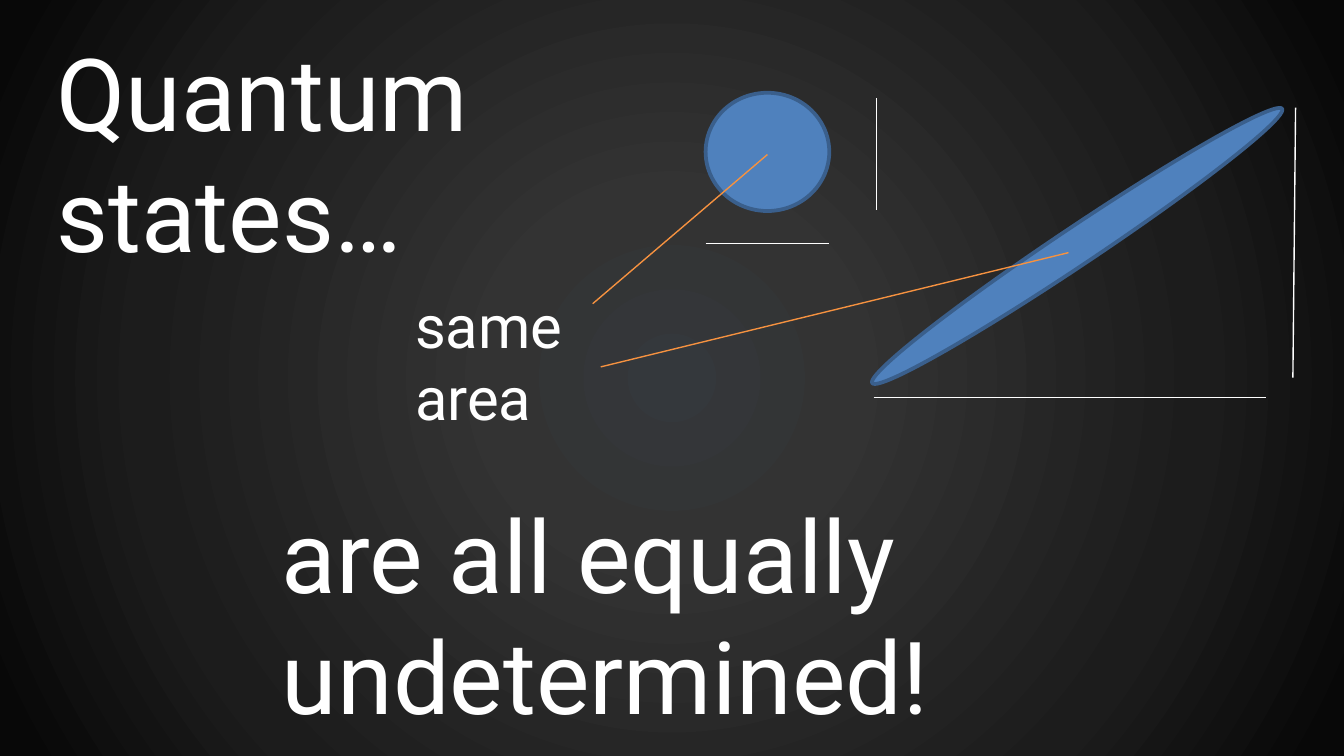
from lxml import etree
from pptx import Presentation
from pptx.dml.color import RGBColor
from pptx.enum.shapes import MSO_CONNECTOR, MSO_SHAPE
from pptx.enum.text import MSO_AUTO_SIZE
from pptx.oxml import parse_xml
from pptx.oxml.ns import nsdecls, qn
from pptx.util import Inches, Pt

RECT, OVAL = MSO_SHAPE.RECTANGLE, MSO_SHAPE.OVAL
STRAIGHT = MSO_CONNECTOR.STRAIGHT
FIT = MSO_AUTO_SIZE.SHAPE_TO_FIT_TEXT

BLACK = RGBColor(0x00, 0x00, 0x00)
WHITE = RGBColor(0xFF, 0xFF, 0xFF)
BLUE = RGBColor(0x4F, 0x81, 0xBD)
NAVY = RGBColor(0x3A, 0x5F, 0x8C)
ORANGE = RGBColor(0xF6, 0x92, 0x40)

WIDTH = 10
HEIGHT = WIDTH * 9 / 16
GLOW = [(0, "34383C"), (23, "333333"), (69, "1C1C1C"), (97, "080808")]


class Deck:
    font = "Roboto"

    def __init__(self, slide):
        self.slide = slide
        self.shapes = slide.shapes

    def ground(self, stops):
        """Fill the slide with a gradient that spreads from its centre."""
        fill = self.slide.background.fill
        fill.solid()
        fill.fore_color.rgb = BLACK
        rect = self.shapes.add_shape(RECT, 0, 0, Inches(WIDTH), Inches(HEIGHT))
        rect.shadow.inherit = False
        rect.line.fill.background()
        rect.fill.background()
        marks = "".join(
            f'<a:gs pos="{pos * 1000}"><a:srgbClr val="{tone}"/></a:gs>'
            for pos, tone in stops)
        grad = parse_xml(
            f'<a:gradFill {nsdecls("a")} rotWithShape="1"><a:gsLst>{marks}</a:gsLst>'
            '<a:path path="circle"><a:fillToRect l="50000" t="50000" r="50000" '
            'b="50000"/></a:path></a:gradFill>')
        props = rect._element.spPr
        props.replace(props.find(qn("a:noFill")), grad)

    def text(self, left, top, width, height, paras, size):
        """Add paragraphs, each given as a list of lines."""
        box = self.shapes.add_textbox(
            Inches(left), Inches(top), Inches(width), Inches(height))
        frame = box.text_frame
        frame.word_wrap = False
        frame.auto_size = FIT
        for i, lines in enumerate(paras):
            para = frame.add_paragraph() if i else frame.paragraphs[0]
            for j, line in enumerate(lines):
                if j:
                    para.add_line_break()
                run = para.add_run()
                run.text = line
                run.font.name = self.font
                run.font.size = Pt(size)
                run.font.color.rgb = WHITE

    def oval(self, left, top, width, height, turn=0):
        oval = self.shapes.add_shape(
            OVAL, Inches(left), Inches(top), Inches(width), Inches(height))
        oval.shadow.inherit = False
        oval.rotation = turn
        oval.fill.solid()
        oval.fill.fore_color.rgb = BLUE
        oval.line.color.rgb = NAVY
        oval.line.width = Pt(2)

    def line(self, start, end, color):
        line = self.shapes.add_connector(
            STRAIGHT, *(Inches(v) for v in (*start, *end)))
        line.line.color.rgb = color
        line.line.width = Pt(0.75)
        etree.SubElement(line._element.spPr, qn("a:effectLst"))


def main():
    prs = Presentation()
    prs.slide_width, prs.slide_height = Inches(WIDTH), Inches(HEIGHT)
    deck = Deck(prs.slides.add_slide(prs.slide_layouts[6]))

    deck.ground(GLOW)
    deck.text(0.32, 0.18, 3.82, 1.92, [["Quantum", "states…"]], 54)
    deck.text(2, 3.62, 5.84, 1.92, [["are all equally", "undetermined!"]], 54)

    deck.oval(6.18, 1.69, 3.67, 0.28, 326.2)
    deck.oval(5.25, 0.69, 0.92, 0.88)

    spans = [((6.5, 2.96), (9.42, 2.96)), ((9.64, 0.8), (9.62, 2.81)),
             ((5.25, 1.81), (6.17, 1.81)), ((6.52, 0.73), (6.52, 1.56))]
    for start, end in spans:
        deck.line(start, end, WHITE)

    leads = [((5.71, 1.15), (4.41, 2.26)), ((7.95, 1.88), (4.47, 2.73))]
    for start, end in leads:
        deck.line(start, end, ORANGE)

    deck.text(2.99, 2.1, 1.35, 1.18, [["same"], ["area"]], 32)
    prs.save("out.pptx")


if __name__ == "__main__":
    main()
